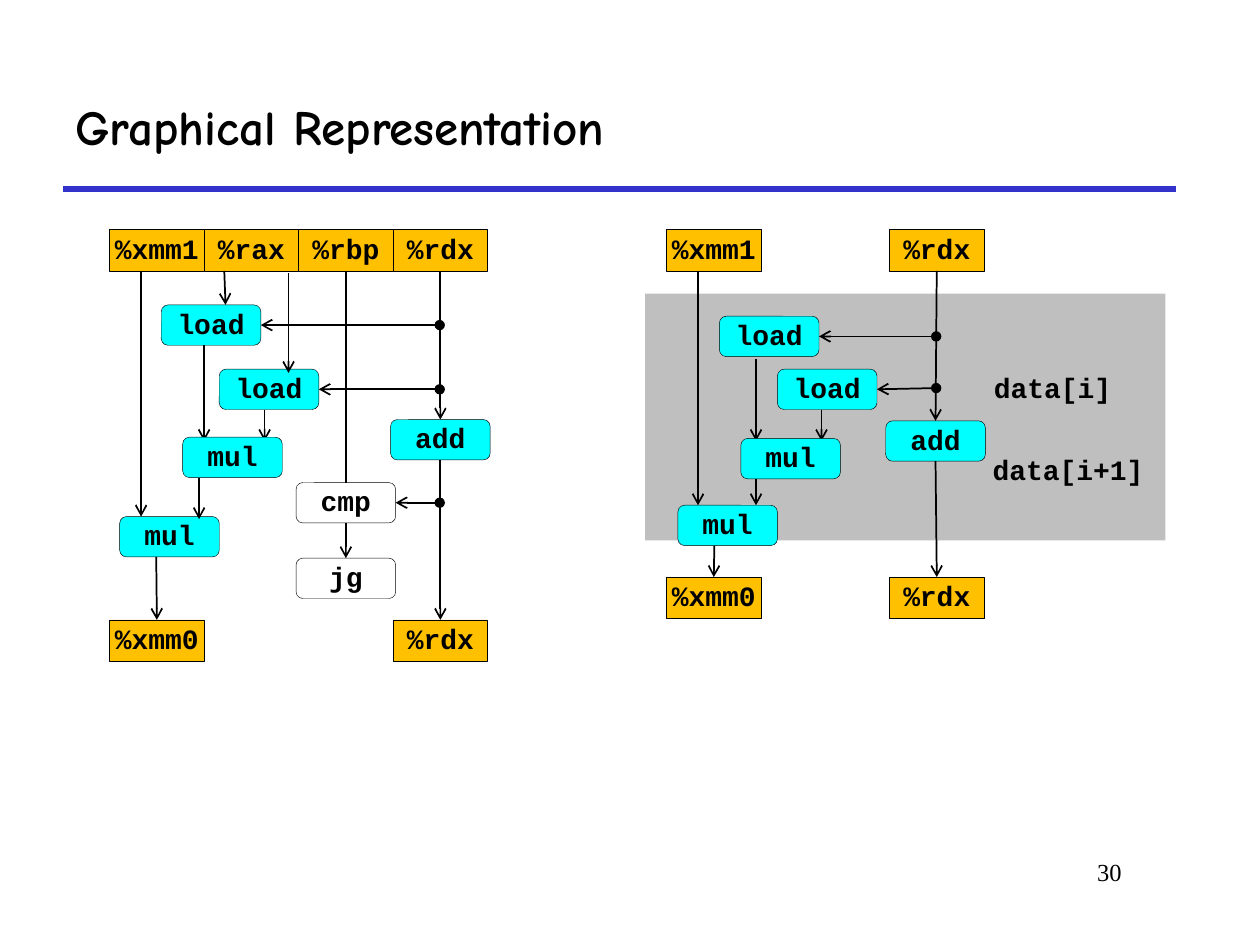
from dataclasses import dataclass

from lxml import etree
from pptx import Presentation
from pptx.dml.color import RGBColor
from pptx.enum.shapes import MSO_CONNECTOR, MSO_SHAPE
from pptx.enum.text import MSO_ANCHOR, MSO_AUTO_SIZE, PP_ALIGN
from pptx.oxml.ns import qn
from pptx.util import Inches, Pt

STRAIGHT = MSO_CONNECTOR.STRAIGHT
RECT, ROUNDED = MSO_SHAPE.RECTANGLE, MSO_SHAPE.ROUNDED_RECTANGLE
LEFT, CENTER, RIGHT = PP_ALIGN.LEFT, PP_ALIGN.CENTER, PP_ALIGN.RIGHT
TOP, MIDDLE = MSO_ANCHOR.TOP, MSO_ANCHOR.MIDDLE
FIT_SHAPE = MSO_AUTO_SIZE.SHAPE_TO_FIT_TEXT
SITE_TOP, SITE_BOTTOM, SITE_RIGHT = 0, 2, 3


@dataclass(frozen=True)
class Theme:
    ink: str = "000000"
    rule: str = "3333CC"
    panel: str = "BFBFBF"
    register: str = "FFC000"
    operation: str = "00FFFF"
    control: str = "FFFFFF"
    title_font: str = "Comic Neue"
    code_font: str = "Courier New"
    number_font: str = "Times New Roman"
    title_size: int = 28
    code_size: int = 16
    number_size: int = 14
    rule_width: float = 3
    wire_width: float = 1
    outline_width: float = 0.25


THEME = Theme()

# Node kinds: preset shape, width, height, fill
REGISTER = (RECT, 0.75, 0.33, THEME.register)
OPERATION = (ROUNDED, 0.79, 0.32, THEME.operation)
CONTROL = (ROUNDED, 0.79, 0.32, THEME.control)

# Wire kinds: ends drawn at the start and at the finish
PLAIN = {}
ARROW = {"a:tailEnd": "arrow"}
TAP = {"a:headEnd": "oval", "a:tailEnd": "arrow"}

# Nodes: name -> label, kind, x, y; wires: start, finish, kind
# A wire end is either a point or a node name with a connection site.
FULL_NODES = {
    "xmm1": ("%xmm1", REGISTER, 0, 0),
    "rax": ("%rax", REGISTER, 0.75, 0),
    "rbp": ("%rbp", REGISTER, 1.5, 0),
    "rdx": ("%rdx", REGISTER, 2.25, 0),
    "xmm0": ("%xmm0", REGISTER, 0, 3.1),
    "rdx out": ("%rdx", REGISTER, 2.25, 3.1),
    "add": ("add", OPERATION, 2.23, 1.51),
    "cmp": ("cmp", CONTROL, 1.48, 2.01),
    "jg": ("jg", CONTROL, 1.48, 2.61),
    "first load": ("load", OPERATION, 0.41, 0.6),
    "second load": ("load", OPERATION, 0.87, 1.11),
    "second mul": ("mul", OPERATION, 0.08, 2.28),
    "first mul": ("mul", OPERATION, 0.58, 1.65),
}
FULL_WIRES = [
    ((0.91, 0.33), (0.92, 0.6), ARROW),
    ((1.42, 0.35), (1.42, 1.14), ARROW),
    ((0.25, 0.33), (0.25, 2.28), ARROW),
    ((0.75, 0.92), (0.75, 1.68), ARROW),
    ((1.23, 1.43), (1.23, 1.68), ARROW),
    ((0.71, 1.97), (0.71, 2.3), ARROW),
    ((0.37, 2.6), ("xmm0", SITE_TOP), ARROW),
    (("rbp", SITE_BOTTOM), ("cmp", SITE_TOP), PLAIN),
    (("cmp", SITE_BOTTOM), ("jg", SITE_TOP), ARROW),
    (("rdx", SITE_BOTTOM), ("add", SITE_TOP), ARROW),
    (("add", SITE_BOTTOM), ("rdx out", SITE_TOP), ARROW),
    ((2.62, 0.76), ("first load", SITE_RIGHT), TAP),
    ((2.62, 1.27), ("second load", SITE_RIGHT), TAP),
    ((2.62, 2.17), ("cmp", SITE_RIGHT), TAP),
]
LOOP_NODES = {
    "xmm1": ("%xmm1", REGISTER, 0, 0),
    "rdx": ("%rdx", REGISTER, 1.77, 0),
    "xmm0": ("%xmm0", REGISTER, 0, 2.76),
    "rdx out": ("%rdx", REGISTER, 1.77, 2.76),
    "add": ("add", OPERATION, 1.74, 1.52),
    "first load": ("load", OPERATION, 0.42, 0.69),
    "second load": ("load", OPERATION, 0.88, 1.11),
    "second mul": ("mul", OPERATION, 0.09, 2.19),
    "first mul": ("mul", OPERATION, 0.59, 1.66),
}
LOOP_WIRES = [
    ((0.25, 0.33), (0.25, 2.19), ARROW),
    ((0.71, 1.03), (0.71, 1.68), ARROW),
    ((1.23, 1.43), (1.23, 1.68), ARROW),
    ((0.71, 1.97), (0.71, 2.19), ARROW),
    ((0.38, 2.51), ("xmm0", SITE_TOP), ARROW),
    (("rdx", SITE_BOTTOM), ("add", SITE_TOP), ARROW),
    (("add", SITE_BOTTOM), ("rdx out", SITE_TOP), ARROW),
    ((2.14, 0.85), ("first load", SITE_RIGHT), TAP),
    ((2.14, 1.26), ("second load", SITE_RIGHT), TAP),
]


def color(value):
    return RGBColor.from_string(value)


def write(box, text, font, size, bold=True, align=LEFT, anchor=TOP, spacing=None):
    frame = box.text_frame
    frame.word_wrap = True
    frame.vertical_anchor = anchor
    para = frame.paragraphs[0]
    para.alignment = align
    para.line_spacing = spacing
    span = para.add_run()
    span.text = text
    span.font.name = font
    span.font.size = Pt(size)
    span.font.bold = bold
    span.font.color.rgb = color(THEME.ink)


def add_text(page, left, top, width, height, *args, **options):
    box = page.shapes.add_textbox(Inches(left), Inches(top), Inches(width), Inches(height))
    write(box, *args, **options)
    return box


def add_line(page, start, finish, ink, width):
    line = page.shapes.add_connector(STRAIGHT, *(Inches(v) for v in (*start, *finish)))
    line.line.color.rgb = color(ink)
    line.line.width = Pt(width)
    etree.SubElement(line._element.spPr, qn("a:effectLst"))
    return line


def add_box(page, preset, left, top, width, height, fill):
    box = page.shapes.add_shape(preset, Inches(left), Inches(top), Inches(width), Inches(height))
    box.shadow.inherit = False
    box.fill.solid()
    box.fill.fore_color.rgb = color(fill)
    box.line.fill.background()
    return box


def add_node(page, left, top, label, kind, x, y):
    preset, width, height, fill = kind
    box = add_box(page, preset, left + x, top + y, width, height, fill)
    box.line.color.rgb = color(THEME.ink)
    box.line.width = Pt(THEME.outline_width)
    frame = box.text_frame
    frame.margin_left = frame.margin_right = frame.margin_top = frame.margin_bottom = 0
    write(box, label, THEME.code_font, THEME.code_size, align=CENTER, anchor=MIDDLE, spacing=0.9)
    return box


def add_wire(page, left, top, boxes, start, finish, ends):
    joined = [isinstance(end[0], str) for end in (start, finish)]
    points = [(left, top) if join else (left + end[0], top + end[1])
              for join, end in zip(joined, (start, finish))]
    wire = add_line(page, *points, THEME.ink, THEME.wire_width)
    if joined[0]:
        wire.begin_connect(boxes[start[0]], start[1])
    if joined[1]:
        wire.end_connect(boxes[finish[0]], finish[1])
    outline = wire.line._get_or_add_ln()
    for tag, shape in ends.items():
        etree.SubElement(outline, qn(tag), type=shape)


def draw_graph(page, left, top, nodes, wires, covering="first mul"):
    """Draw the wires over all nodes but the covering one, which hides their tips."""
    boxes = {name: add_node(page, left, top, *node)
             for name, node in nodes.items() if name != covering}
    for wire in wires:
        add_wire(page, left, top, boxes, *wire)
    add_node(page, left, top, *nodes[covering])


def draw_header(page, left, top, width, height):
    add_line(page, (left, top + height), (left + width, top + height), THEME.rule, THEME.rule_width)
    add_text(page, left, top, width, height, "Graphical Representation",
             THEME.title_font, THEME.title_size, anchor=MIDDLE)


def draw_loop_panel(page, left, top, width, height):
    add_box(page, RECT, left, top, width, height, THEME.panel)
    for label, x, y, label_width in (("data[i]", 2.67, 0.59, 1.21), ("data[i+1]", 2.66, 1.24, 1.47)):
        box = add_text(page, left + x, top + y, label_width, 0.34, label,
                       THEME.code_font, THEME.code_size, spacing=0.9)
        box.text_frame.auto_size = FIT_SHAPE


def main():
    deck = Presentation()
    deck.slide_width, deck.slide_height = Inches(10), Inches(7.5)
    page = deck.slides.add_slide(deck.slide_layouts[6])

    draw_header(page, 0.5, 0.5, 8.83, 1)
    # Every operation of one iteration
    draw_graph(page, 0.87, 1.82, FULL_NODES, FULL_WIRES)
    # Only the operations that carry the loop
    draw_loop_panel(page, 5.12, 2.33, 4.13, 1.96)
    draw_graph(page, 5.29, 1.82, LOOP_NODES, LOOP_WIRES)
    # Slide number
    add_text(page, 7.58, 6.75, 1.42, 0.5, "30", THEME.number_font, THEME.number_size,
             bold=False, align=RIGHT)
    deck.save("out.pptx")


if __name__ == "__main__":
    main()
